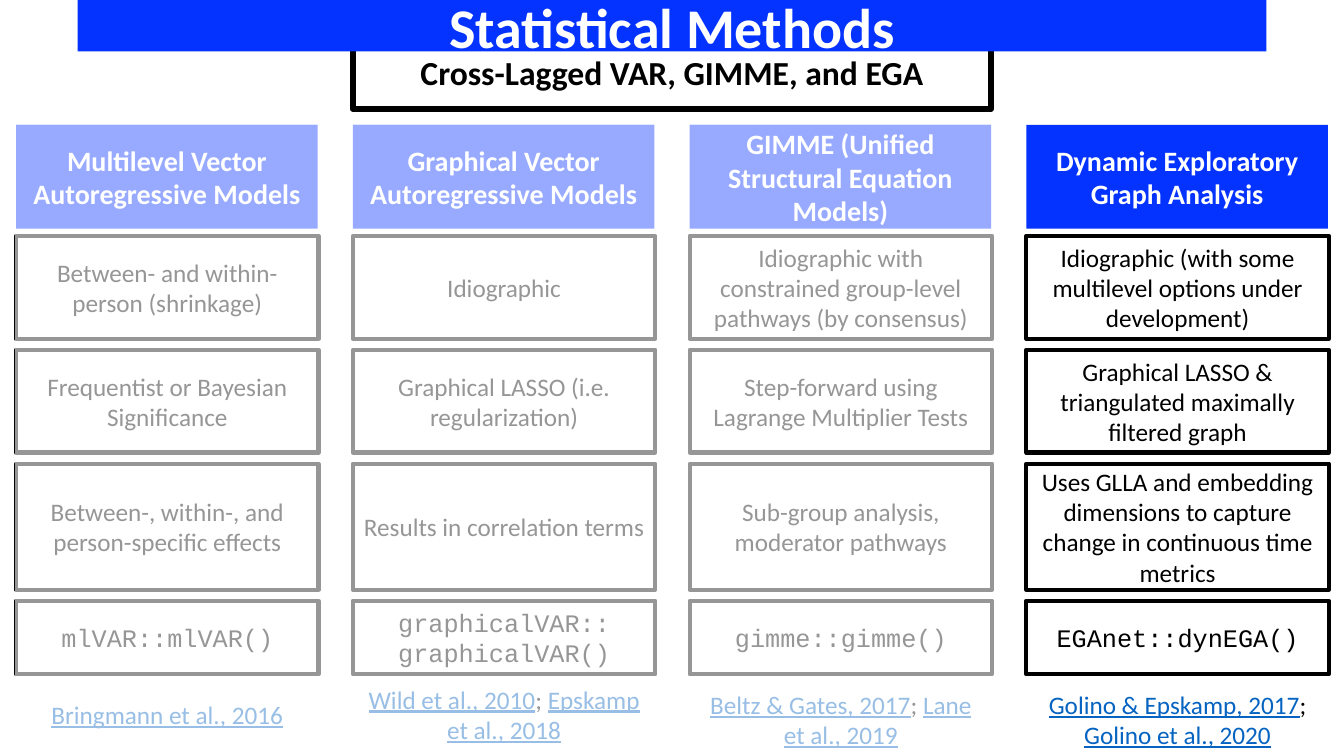
from pptx import Presentation
from pptx.dml.color import RGBColor
from pptx.enum.shapes import MSO_SHAPE as Shape
from pptx.enum.text import MSO_ANCHOR as Anchor, MSO_AUTO_SIZE as Fit, PP_ALIGN as Align
from pptx.oxml.ns import qn
from pptx.util import Inches, Pt
from lxml import etree

BLUE = RGBColor(0x04, 0x32, 0xFF)
LINK = RGBColor(0x05, 0x63, 0xC1)
BLACK = RGBColor(0, 0, 0)
WHITE = RGBColor(0xFF, 0xFF, 0xFF)
SANS, MONO = "Calibri", "Courier New"

TITLE = "Statistical Methods"
SUBTITLE = "Cross-Lagged VAR, GIMME, and EGA"
HEADS = [
    "Multilevel Vector Autoregressive Models",
    "Graphical Vector Autoregressive Models",
    "GIMME (Unified Structural Equation Models)",
    "Dynamic Exploratory Graph Analysis",
]
# Each row: top, height, font, one text per method
ROWS = [
    (2.34, 1.02, SANS, [
        "Between- and within-person (shrinkage)",
        "Idiographic",
        "Idiographic with constrained group-level pathways (by consensus)",
        "Idiographic (with some multilevel options under development)"]),
    (3.47, 1.02, SANS, [
        "Frequentist or Bayesian Significance",
        "Graphical LASSO (i.e. regularization)",
        "Step-forward using Lagrange Multiplier Tests",
        "Graphical LASSO & triangulated maximally filtered graph"]),
    (4.6, 1.25, SANS, [
        "Between-, within-, and person-specific effects",
        "Results in correlation terms",
        "Sub-group analysis, moderator pathways",
        "Uses GLLA and embedding dimensions to capture change in continuous time metrics"]),
    (5.96, 0.73, MONO, [
        "mlVAR::mlVAR()",
        "graphicalVAR::\ngraphicalVAR()",
        "gimme::gimme()",
        "EGAnet::dynEGA()"]),
]
# Each entry: top, then paragraphs of runs
CITES = [
    (6.72, [["Bringmann et al., 2016"]]),
    (6.72, [["Wild et al., 2010", "; ", "Epskamp et al., 2018"]]),
    (6.77, [["Beltz & Gates, 2017", "; ", "Lane et al., 2019"]]),
    (6.77, [["Golino & Epskamp, 2017", ";"], ["Golino et al., 2020"]]),
]
LEFT, STEP, WIDE = 0.16, 3.34, 3


def write(shape, lines, size, color, bold=False, font=SANS, cite=False):
    """Fill a shape with centred paragraphs, each a list of runs."""
    frame = shape.text_frame
    frame.word_wrap = True
    frame.auto_size = Fit.NONE
    frame.vertical_anchor = Anchor.MIDDLE
    for i, runs in enumerate(lines):
        para = frame.add_paragraph() if i else frame.paragraphs[0]
        para.alignment = Align.CENTER
        for text in runs:
            run = para.add_run()
            run.text = text
            link = cite and not text.startswith(";")
            run.font.name, run.font.size, run.font.bold = font, Pt(size), bold
            run.font.color.rgb = LINK if link else color
            if link:
                run.font.underline = True


def add_box(slide, place, fill=None, line=None):
    box = slide.shapes.add_shape(Shape.RECTANGLE, *map(Inches, place))
    box.shadow.inherit = False
    if fill is None:
        box.fill.background()
    else:
        box.fill.solid()
        box.fill.fore_color.rgb = fill
    if line is None:
        box.line.fill.background()
    else:
        box.line.color.rgb = BLACK
        box.line.width = Pt(line)
    return box


def add_title(slide):
    title = slide.shapes.title
    title.left, title.top, title.width, title.height = map(Inches, (0.77, 0, 11.79, 0.51))
    title.fill.solid()
    title.fill.fore_color.rgb = BLUE
    write(title, [[TITLE]], 40, WHITE, bold=True)
    # Bring the title in front of the subtitle box
    title.element.getparent().append(title.element)


def add_veil(slide):
    """Fade the first three methods."""
    veil = add_box(slide, (0.15, 1.24, 9.85, 6.26), WHITE)
    tint = veil.fill._xPr.find(".//" + qn("a:srgbClr"))
    etree.SubElement(tint, qn("a:alpha")).set("val", "59000")


def main():
    deck = Presentation()
    deck.slide_width, deck.slide_height = Inches(13.33), Inches(7.5)
    slide = deck.slides.add_slide(deck.slide_layouts[5])

    lefts = [LEFT + STEP * i for i in range(len(HEADS))]
    for x, head in zip(lefts, HEADS):
        write(add_box(slide, (x, 1.24, 2.99, 1.03), BLUE), [[head]], 20, WHITE, bold=True)

    banner = add_box(slide, (3.5, 0.34, 6.33, 0.74), WHITE, 4.5)
    write(banner, [[SUBTITLE]], 24, BLACK, bold=True)
    add_title(slide)

    for top, high, font, texts in ROWS:
        for x, text in zip(lefts, texts):
            box = add_box(slide, (x, top, WIDE, high), line=3)
            write(box, [[part] for part in text.split("\n")], 18, BLACK, font=font)

    for x, (top, lines) in zip(lefts, CITES):
        note = slide.shapes.add_textbox(*map(Inches, (x, top, WIDE, 0.73)))
        write(note, lines, 18, BLACK, cite=True)

    add_veil(slide)
    deck.save("out.pptx")


if __name__ == "__main__":
    main()
